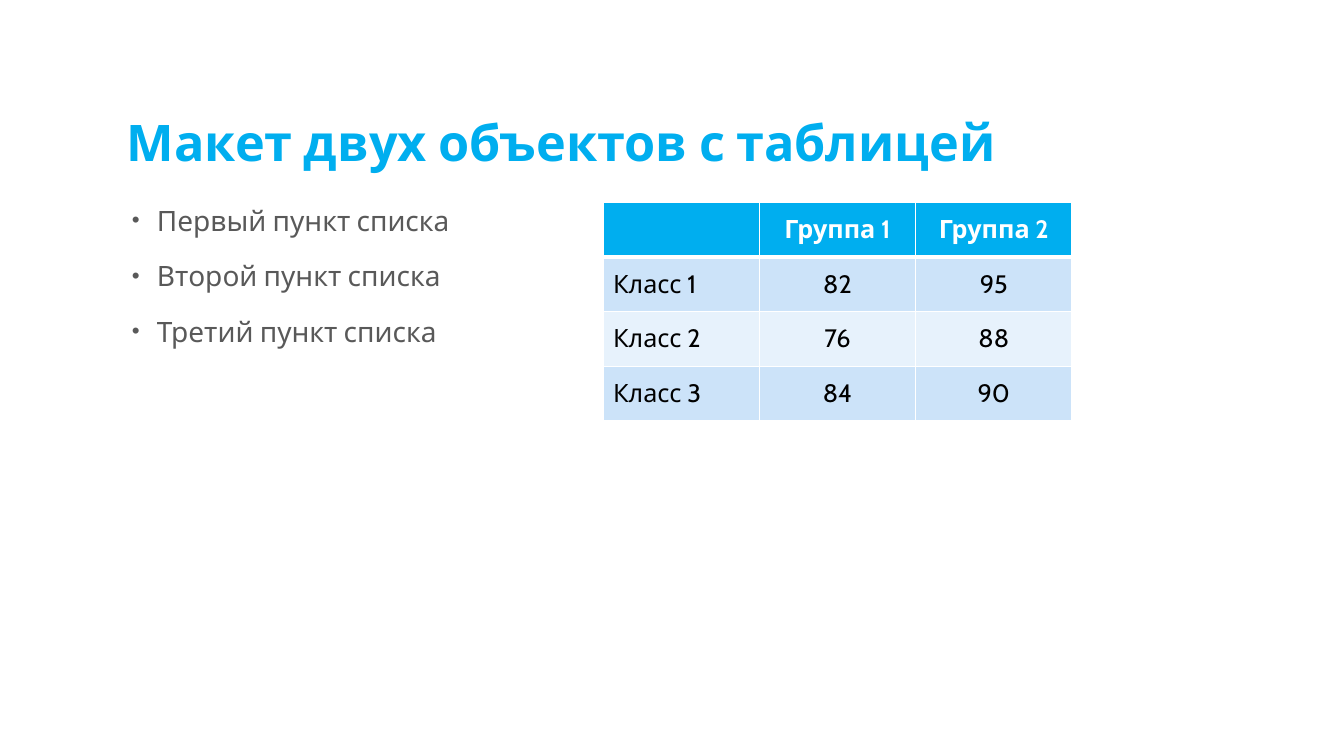
"""Builds a slide with a title, a bulleted list and a table of class scores."""
import pptx
import pptx.dml.color
import pptx.enum.text
import pptx.oxml
import pptx.oxml.ns
import pptx.util

EMU_PER_PIXEL = 914400 / 100.8
FONT = "Cabin"
COLORS = {
    "accent": "00AEEF",
    "body": "595959",
    "white": "FFFFFF",
    "black": "000000",
    "band_dark": "CCE3F9",
    "band_light": "E7F2FC",
}
POINTS = ["Первый пункт списка", "Второй пункт списка", "Третий пункт списка"]
SCORES = [
    ["", "Группа 1", "Группа 2"],
    ["Класс 1", "82", "95"],
    ["Класс 2", "76", "88"],
    ["Класс 3", "84", "90"],
]


def px(length):
    return pptx.util.Emu(round(length * EMU_PER_PIXEL))


def rgb(color):
    return pptx.dml.color.RGBColor.from_string(COLORS[color])


def drawing_element(xml):
    return pptx.oxml.parse_xml(xml.replace(" ", f" {pptx.oxml.ns.nsdecls('a')} ", 1))


def style_paragraph(paragraph, size, color, bold=False):
    for run in paragraph.runs:
        run.font.name = FONT
        run.font.size = pptx.util.Pt(size)
        run.font.bold = bold
        run.font.color.rgb = rgb(color)


def add_text(slide, left, top, width, height, text):
    frame = slide.shapes.add_textbox(px(left), px(top), px(width), px(height)).text_frame
    frame.word_wrap = True
    frame.text = text
    return frame


def add_title(slide, text):
    frame = add_text(slide, 117, 58, 958, 118, text)
    frame.vertical_anchor = pptx.enum.text.MSO_ANCHOR.BOTTOM
    heading = frame.paragraphs[0]
    heading.line_spacing = 0.8
    style_paragraph(heading, 36, "accent", bold=True)


def add_bullet(paragraph):
    properties = paragraph._p.get_or_add_pPr()
    properties.set("marL", str(px(30)))
    properties.set("indent", str(-px(25)))
    for xml in (
        f'<a:buClr ><a:srgbClr val="{COLORS["body"]}"/></a:buClr>',
        '<a:buSzPct val="80000"/>',
        '<a:buFont typeface="Arial"/>',
        '<a:buChar char="•"/>',
    ):
        properties.append(drawing_element(xml))


def add_list(slide, points):
    frame = add_text(slide, 117, 202, 469, 462, "\n".join(points))
    for point in frame.paragraphs:
        point.line_spacing = 0.9
        point.space_before = pptx.util.Pt(18)
        add_bullet(point)
        style_paragraph(point, 20, "body")


def set_borders(cell, top, bottom):
    properties = cell._tc.get_or_add_tcPr()
    widths = {"lnL": 1, "lnR": 1, "lnT": top, "lnB": bottom}
    for position, (side, width) in enumerate(widths.items()):
        properties.insert(position, drawing_element(
            f'<a:{side} w="{pptx.util.Pt(width)}"><a:solidFill>'
            f'<a:srgbClr val="{COLORS["white"]}"/></a:solidFill></a:{side}>'))


def fill_cell(cell, text, row, column):
    header = row == 0
    band = "band_dark" if row % 2 else "band_light"
    cell.text = text
    cell.vertical_anchor = pptx.enum.text.MSO_ANCHOR.MIDDLE
    cell.fill.solid()
    cell.fill.fore_color.rgb = rgb("accent" if header else band)
    set_borders(cell, top=3 if row == 1 else 1, bottom=3 if header else 1)
    label = cell.text_frame.paragraphs[0]
    if column:
        label.alignment = pptx.enum.text.PP_ALIGN.CENTER
    style_paragraph(label, 18, "white" if header else "black", bold=header)


def add_score_table(slide, scores):
    table = slide.shapes.add_table(
        len(scores), len(scores[0]), px(603), px(202), px(469), px(219)).table
    for row, values in enumerate(scores):
        for column, value in enumerate(values):
            fill_cell(table.cell(row, column), value, row, column)


def main():
    deck = pptx.Presentation()
    deck.slide_width, deck.slide_height = px(1344), px(756)
    slide = deck.slides.add_slide(deck.slide_layouts[6])
    add_title(slide, "Макет двух объектов с таблицей")
    add_list(slide, POINTS)
    add_score_table(slide, SCORES)
    deck.save("out.pptx")


main()
